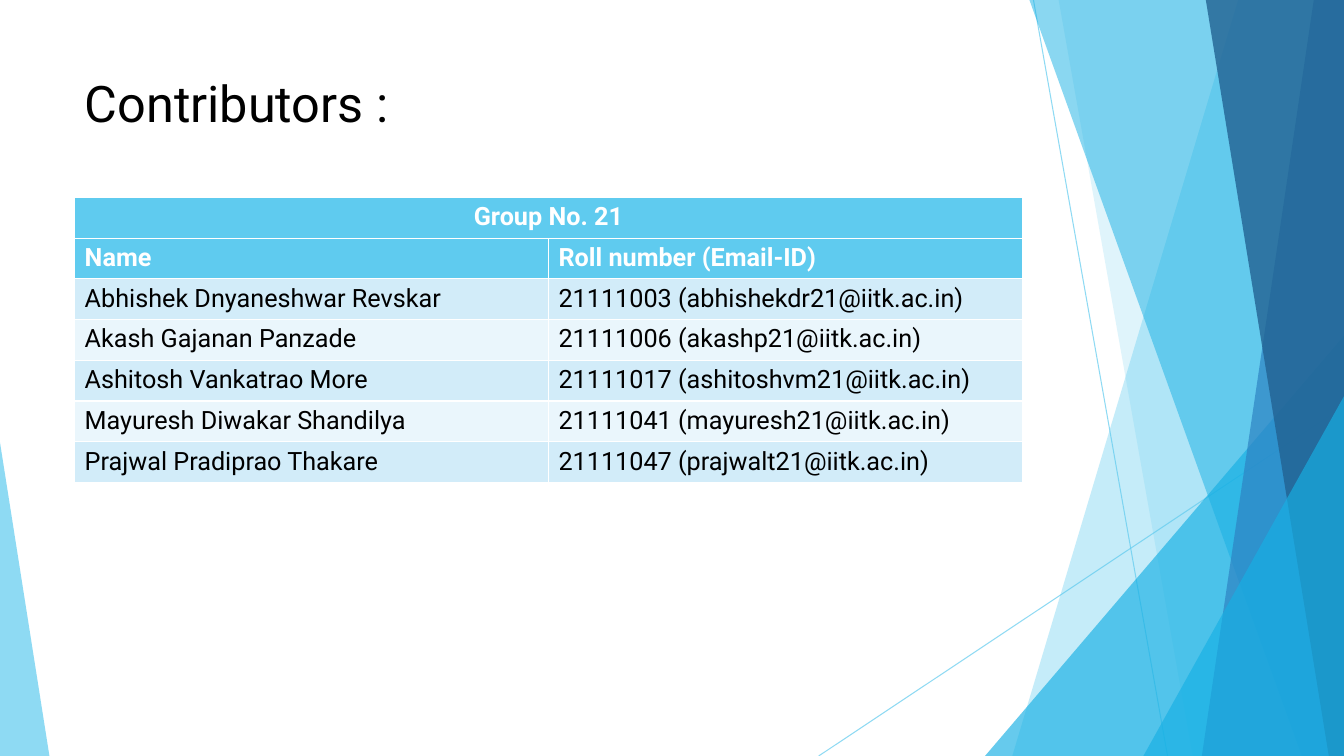
from pptx import Presentation
from pptx.dml.color import RGBColor
from pptx.enum.shapes import MSO_CONNECTOR, MSO_SHAPE
from pptx.enum.text import MSO_ANCHOR, MSO_AUTO_SIZE, PP_ALIGN
from pptx.oxml.ns import qn
from pptx.util import Inches, Pt
from lxml.etree import SubElement

# Content
TITLE = "Contributors :"
GROUP_ROWS = [("Group No. 21",)]
CONTRIBUTOR_ROWS = [
    ("Name", "Roll number (Email-ID)"),
    ("Abhishek Dnyaneshwar Revskar", "21111003 (abhishekdr21@iitk.ac.in)"),
    ("Akash Gajanan Panzade", "21111006 (akashp21@iitk.ac.in)"),
    ("Ashitosh Vankatrao More", "21111017 (ashitoshvm21@iitk.ac.in)"),
    ("Mayuresh Diwakar Shandilya", "21111041 (mayuresh21@iitk.ac.in)"),
    ("Prajwal Pradiprao Thakare", "21111047 (prajwalt21@iitk.ac.in)"),
]

# Format
FONT = "Roboto"
BLACK = RGBColor(0x00, 0x00, 0x00)
WHITE = RGBColor(0xFF, 0xFF, 0xFF)
SKY = RGBColor(0x5F, 0xCB, 0xEF)
CYAN = RGBColor(0x17, 0xB0, 0xE4)
BLUE = RGBColor(0x2E, 0x83, 0xC3)
NAVY = RGBColor(0x22, 0x62, 0x92)
BANDS = [RGBColor(0xD2, 0xEC, 0xF9), RGBColor(0xEA, 0xF6, 0xFC)]
TITLE_FORMAT = {"name": FONT, "size": Pt(36), "bold": False}
HEADER_FORMAT = {"name": FONT, "size": Pt(18), "bold": True}
BODY_FORMAT = {"name": FONT, "size": Pt(18), "bold": False}

# Layout in inches
WIDTH, HEIGHT = 13.33, 7.5
LEFT, CONTENT_WIDTH = 0.74, 9.4
GROUP_TOP, CONTRIBUTORS_TOP, ROW_HEIGHT = 1.96, 2.36, 0.405

# Thin lines: start x, start y, end x, end y
RAYS = [(10.25, 0, 11.58, HEIGHT), (WIDTH, 4.03, 8.12, HEIGHT)]

# Panes reach the right edge: top x, bottom x.
# Triangles stand on the bottom edge: left, top, width, apex position.
FACETS = [
    ("pane", (12.28, 10.04), SKY, 36),
    ("pane", (10.5, 11.83), SKY, 20),
    ("triangle", (9.77, 3.33, 3.56, 1), CYAN, 66),
    ("pane", (10.21, 12.91), CYAN, 50),
    ("pane", (13.03, 11.92), BLUE, 70),
    ("pane", (11.96, 13.18), NAVY, 80),
    ("triangle", (11.34, 3.93, 1.99, 1), CYAN, 66),
    ("triangle", (0, 4.39, 0.49, 0), SKY, 70),
]


def apply_font(font, settings, colour):
    for name, value in settings.items():
        setattr(font, name, value)
    font.color.rgb = colour


def set_opacity(shape, percent):
    """Make the first solid colour of the shape, fill or line, see-through."""
    colour = next(shape._element.spPr.iter(qn("a:srgbClr")))
    SubElement(colour, qn("a:alpha"), val=str(percent * 1000))


def add_ray(slide, ends):
    ray = slide.shapes.add_connector(MSO_CONNECTOR.STRAIGHT, *map(Inches, ends))
    ray.line.color.rgb = SKY
    ray.line.width = Pt(0.75)
    set_opacity(ray, 70)
    SubElement(ray._element.spPr, qn("a:effectLst"))


def add_facet(slide, kind, geometry, colour, opacity):
    if kind == "pane":
        top_x, bottom_x = geometry
        builder = slide.shapes.build_freeform(Inches(top_x), 0)
        corners = [(WIDTH, 0), (WIDTH, HEIGHT), (bottom_x, HEIGHT)]
        builder.add_line_segments([(Inches(x), Inches(y)) for x, y in corners], close=True)
        shape = builder.convert_to_shape()
    else:
        left, top, width, apex = geometry
        shape = slide.shapes.add_shape(
            MSO_SHAPE.ISOSCELES_TRIANGLE,
            Inches(left), Inches(top), Inches(width), Inches(HEIGHT - top))
        shape.adjustments[0] = apex
    shape.shadow.inherit = False
    shape.fill.solid()
    shape.fill.fore_color.rgb = colour
    shape.line.fill.background()
    set_opacity(shape, opacity)


def add_grid(slide, rows, top, header_alignment):
    """Equal columns, a header row, then banded rows; the style draws white borders."""
    frame = slide.shapes.add_table(
        len(rows), len(rows[0]), Inches(LEFT), Inches(top),
        Inches(CONTENT_WIDTH), Inches(ROW_HEIGHT * len(rows)))
    for row_index, row in enumerate(rows):
        is_header = row_index == 0
        for column_index, text in enumerate(row):
            cell = frame.table.cell(row_index, column_index)
            cell.fill.solid()
            cell.fill.fore_color.rgb = SKY if is_header else BANDS[(row_index - 1) % 2]
            cell.text = text
            paragraph = cell.text_frame.paragraphs[0]
            paragraph.alignment = header_alignment if is_header else PP_ALIGN.LEFT
            apply_font(paragraph.runs[0].font,
                       HEADER_FORMAT if is_header else BODY_FORMAT,
                       WHITE if is_header else BLACK)


def add_title(slide):
    title = slide.shapes.title
    title.left, title.top = Inches(LEFT), Inches(0.67)
    title.width, title.height = Inches(CONTENT_WIDTH), Inches(0.96)
    title.text = TITLE
    title.text_frame.auto_size = MSO_AUTO_SIZE.NONE
    title.text_frame.vertical_anchor = MSO_ANCHOR.TOP
    paragraph = title.text_frame.paragraphs[0]
    paragraph.alignment = PP_ALIGN.LEFT
    apply_font(paragraph.runs[0].font, TITLE_FORMAT, BLACK)


def main():
    presentation = Presentation()
    presentation.slide_width = Inches(WIDTH)
    presentation.slide_height = Inches(HEIGHT)
    slide = presentation.slides.add_slide(presentation.slide_layouts[5])

    # Decoration
    for ends in RAYS:
        add_ray(slide, ends)
    for facet in FACETS:
        add_facet(slide, *facet)

    # Title and tables
    add_title(slide)
    add_grid(slide, CONTRIBUTOR_ROWS, CONTRIBUTORS_TOP, PP_ALIGN.LEFT)
    add_grid(slide, GROUP_ROWS, GROUP_TOP, PP_ALIGN.CENTER)

    presentation.save("out.pptx")


if __name__ == "__main__":
    main()
